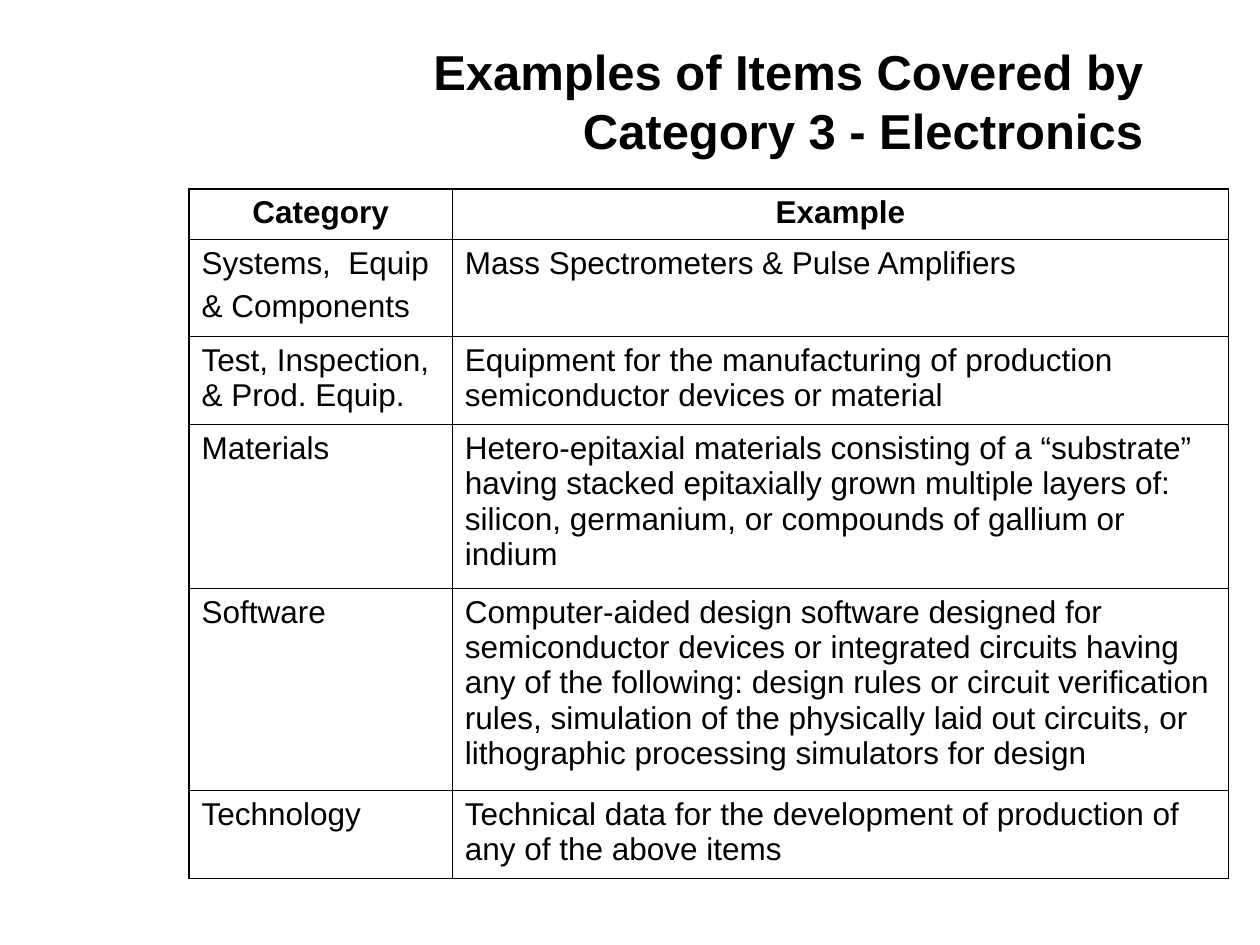
from lxml import etree
from pptx import Presentation
from pptx import util as u
from pptx.dml.color import RGBColor
from pptx.enum import text
from pptx.oxml import ns

COLORS = {"ink": "000000", "paper": "FFFFFF"}
FONT = "Arial"
INNER_LINE, OUTER_LINE = 0.45, 1.08
COLUMN_WIDTHS = [2.09, 6.16]
ROW_HEIGHTS = [0.4, 0.77, 0.7, 1.3, 1.6, 0.7]
ROWS = [
    ("Category", "Example"),
    ("Systems,  Equip\n& Components", "Mass Spectrometers & Pulse Amplifiers"),
    ("Test, Inspection, & Prod. Equip.",
     "Equipment for the manufacturing of production semiconductor devices or material"),
    ("Materials",
     "Hetero-epitaxial materials consisting of a “substrate” having stacked "
     "epitaxially grown multiple layers of: silicon, germanium, or compounds of "
     "gallium or indium"),
    ("Software",
     "Computer-aided design software designed for semiconductor devices or "
     "integrated circuits having any of the following: design rules or circuit "
     "verification rules, simulation of the physically laid out circuits, or "
     "lithographic processing simulators for design"),
    ("Technology",
     "Technical data for the development of production of any of the above items"),
]


def color(name):
    return RGBColor.from_string(COLORS[name])


def format_text(text_frame, size, bold, alignment, space_before=0):
    for paragraph in text_frame.paragraphs:
        paragraph.alignment = alignment
        paragraph.space_before = u.Pt(space_before)
        for run in paragraph.runs:
            run.font.name = FONT
            run.font.size = u.Pt(size)
            run.font.bold = bold
            run.font.color.rgb = color("ink")


def add_title(slide, title):
    shape = slide.shapes.add_textbox(
        u.Inches(2.25), u.Inches(0.42), u.Inches(6.92), u.Inches(0.75))
    text_frame = shape.text_frame
    text_frame.word_wrap = True
    text_frame.vertical_anchor = text.MSO_ANCHOR.MIDDLE
    text_frame.text = title
    format_text(text_frame, 28, True, text.PP_ALIGN.RIGHT)


def set_borders(cell, widths):
    properties = cell._tc.get_or_add_tcPr()
    for index, (side, width) in enumerate(widths.items()):
        line = etree.Element(ns.qn(f"a:ln{side}"), w=str(u.Pt(width)))
        fill = etree.SubElement(line, ns.qn("a:solidFill"))
        etree.SubElement(fill, ns.qn("a:srgbClr"), val=COLORS["ink"])
        properties.insert(index, line)


def border_widths(row, column):
    outer = {
        "L": column == 0,
        "R": column == len(COLUMN_WIDTHS) - 1,
        "T": row == 0,
        "B": row == len(ROWS) - 1,
    }
    return {side: OUTER_LINE if is_outer else INNER_LINE
            for side, is_outer in outer.items()}


def fill_cell(cell, content, is_header):
    cell.fill.background()
    cell.text_frame.text = content
    alignment = text.PP_ALIGN.CENTER if is_header else text.PP_ALIGN.LEFT
    format_text(cell.text_frame, 18, is_header, alignment, 4.5)


def add_examples_table(slide):
    shape = slide.shapes.add_table(
        len(ROWS), len(COLUMN_WIDTHS), u.Inches(1.5), u.Inches(1.5),
        u.Inches(sum(COLUMN_WIDTHS)), u.Inches(sum(ROW_HEIGHTS)))
    table = shape.table
    table.horz_banding = False
    for column, width in zip(table.columns, COLUMN_WIDTHS):
        column.width = u.Inches(width)
    for row, height in zip(table.rows, ROW_HEIGHTS):
        row.height = u.Inches(height)
    for row_index, contents in enumerate(ROWS):
        for column_index, content in enumerate(contents):
            cell = table.cell(row_index, column_index)
            fill_cell(cell, content, row_index == 0)
            set_borders(cell, border_widths(row_index, column_index))


def main():
    presentation = Presentation()
    presentation.slide_width = u.Inches(10)
    presentation.slide_height = u.Inches(7.5)
    slide = presentation.slides.add_slide(presentation.slide_layouts[6])
    slide.background.fill.solid()
    slide.background.fill.fore_color.rgb = color("paper")
    add_title(slide, "Examples of Items Covered by Category 3 - Electronics")
    add_examples_table(slide)
    presentation.save("out.pptx")


if __name__ == "__main__":
    main()
